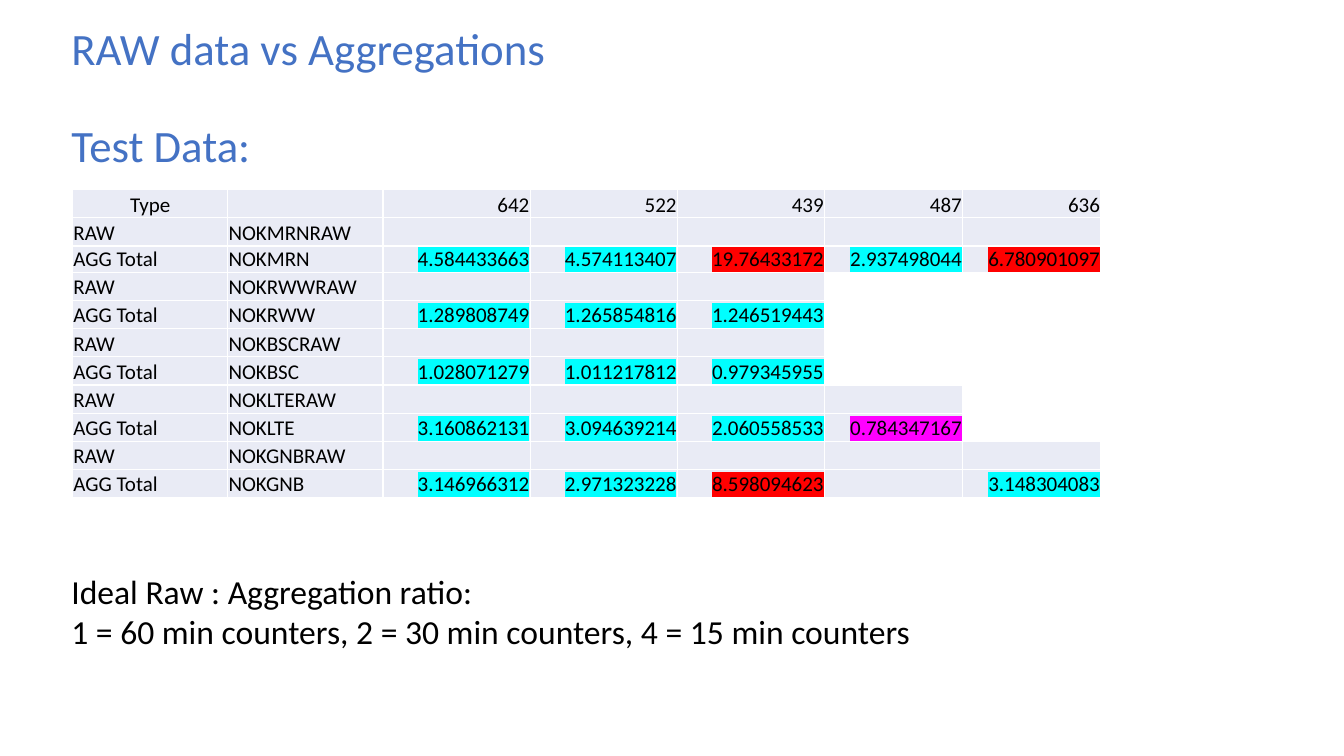
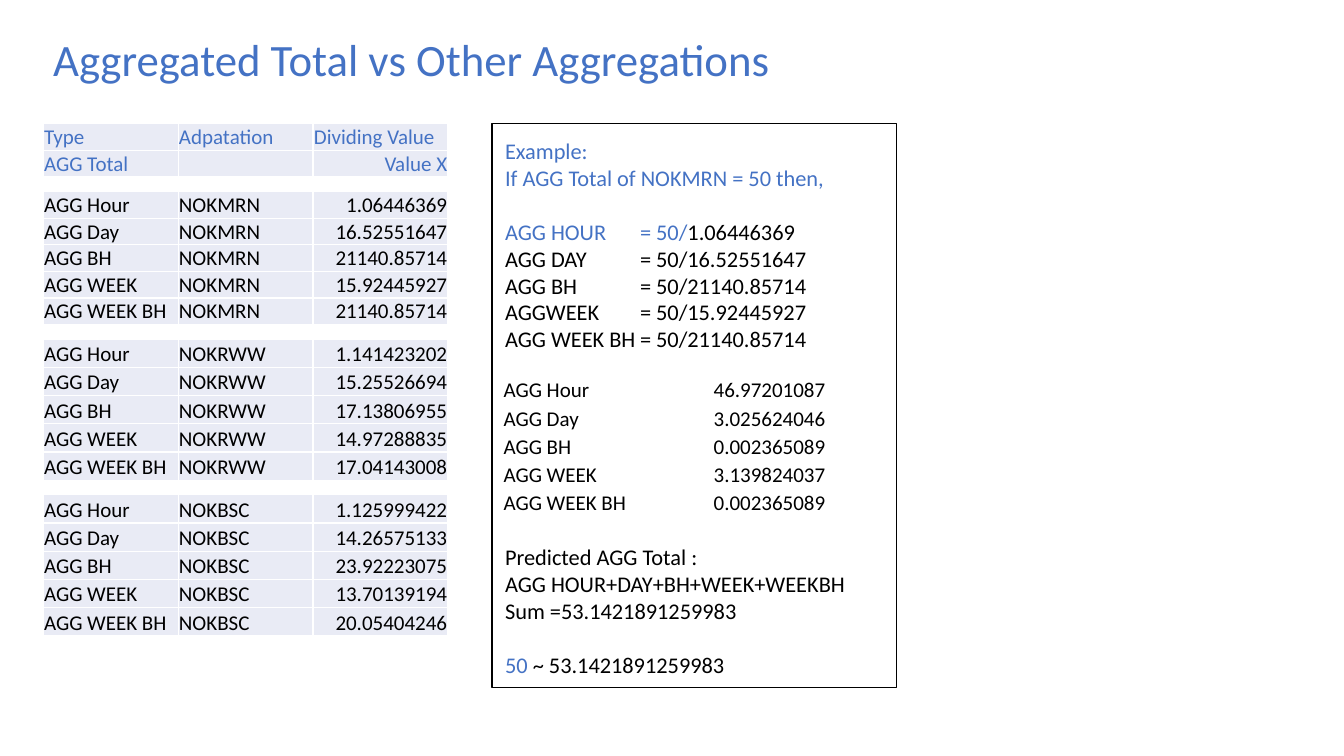
import dataclasses

import pptx
import pptx.dml.color
import pptx.enum.shapes
import pptx.enum.text
import pptx.oxml
import pptx.oxml.ns
import pptx.util

Cm = pptx.util.Cm
Pt = pptx.util.Pt
ALIGN = pptx.enum.text.PP_ALIGN
ANCHOR = pptx.enum.text.MSO_ANCHOR


@dataclasses.dataclass(frozen=True)
class Theme:
    font: str = "Calibri"
    accent: str = "4472C4"
    ink: str = "000000"
    paper: str = "FFFFFF"
    cell: str = "E9EBF5"
    normal: str = "00FFFF"
    high: str = "FF0000"
    low: str = "FF00FF"
    title_size: float = 32
    note_size: float = 24
    example_size: float = 16
    table_size: float = 15


THEME = Theme()


def rgb(value):
    return pptx.dml.color.RGBColor.from_string(value)


def drawing_element(tag, **attributes):
    """Make an empty DrawingML element with the given attributes."""
    element = pptx.oxml.parse_xml(f"<a:{tag} {pptx.oxml.ns.nsdecls('a')}/>")
    for name, value in attributes.items():
        element.set(name, str(value))
    return element


def write(paragraph, text, *, size, color=THEME.ink, align=ALIGN.LEFT, highlight=None):
    """Add one formatted run to a paragraph, or only size it if there is no text."""
    paragraph.alignment = align
    if not text:
        paragraph._p.get_or_add_endParaRPr().set("sz", str(int(size * 100)))
        return
    run = paragraph.add_run()
    run.text = text
    run.font.name = THEME.font
    run.font.size = Pt(size)
    run.font.color.rgb = rgb(color)
    if highlight:
        mark = drawing_element("highlight")
        mark.append(drawing_element("srgbClr", val=highlight))
        run._r.rPr.find(pptx.oxml.ns.qn("a:solidFill")).addnext(mark)


def set_margins(target, left, top, right, bottom):
    target.margin_left, target.margin_top = Cm(left), Cm(top)
    target.margin_right, target.margin_bottom = Cm(right), Cm(bottom)


def next_paragraph(frame):
    """Return the first paragraph while it is unused, otherwise a new one."""
    first = frame.paragraphs[0]
    return frame.add_paragraph() if first.runs else first


class Deck:
    """Holds the presentation, the theme and the slide being built."""

    def __init__(self, theme):
        self.theme = theme
        self.presentation = pptx.Presentation()
        self.presentation.slide_width = Cm(33.87)
        self.presentation.slide_height = Cm(19.05)
        self.slide = None

    def new_slide(self):
        self.slide = self.presentation.slides.add_slide(self.presentation.slide_layouts[6])

    def text_box(self, left, top, width, height, lines, *, anchor=ANCHOR.TOP,
                 line_spacing=None, gap=0, **style):
        box = self.slide.shapes.add_textbox(Cm(left), Cm(top), Cm(width), Cm(height))
        frame = box.text_frame
        frame.word_wrap = True
        frame.vertical_anchor = anchor
        for index, line in enumerate(lines):
            paragraph = next_paragraph(frame)
            if line_spacing:
                paragraph.line_spacing = line_spacing
            if index and gap:
                paragraph.space_before = Pt(gap)
            write(paragraph, line, **style)

    def title(self, left, top, *lines):
        self.text_box(left, top, 30.78, 1.14, lines, anchor=ANCHOR.MIDDLE, line_spacing=0.9,
                      gap=35, size=self.theme.title_size, color=self.theme.accent)

    def table(self, left, top, widths, heights, rows, *, filled=True,
              color=THEME.ink, styles=None):
        """Draw a table and return its bottom edge; styles maps (row, column) to format."""
        frame = self.slide.shapes.add_table(len(rows), len(widths), Cm(left), Cm(top),
                                            Cm(sum(widths)), Cm(sum(heights)))
        table = frame.table
        table.first_row = table.horz_banding = False
        for column, width in zip(table.columns, widths):
            column.width = Cm(width)
        for row, height in zip(table.rows, heights):
            row.height = Cm(height)
        for row_index, row in enumerate(rows):
            for column_index, text in enumerate(row):
                cell = table.cell(row_index, column_index)
                set_margins(cell, 0.02, 0.02, 0.02, 0)
                cell.vertical_anchor = ANCHOR.BOTTOM
                if filled:
                    cell.fill.solid()
                    cell.fill.fore_color.rgb = rgb(self.theme.cell)
                else:
                    cell.fill.background()
                style = {"size": self.theme.table_size, "color": color,
                         "align": ALIGN.RIGHT if text[:1].isdigit() else ALIGN.LEFT}
                style.update((styles or {}).get((row_index, column_index), {}))
                write(cell.text_frame.paragraphs[0], text, **style)
        return top + sum(heights)

    def panel(self, left, top, width, height, lines, *, size, line_height, tab):
        """Draw a framed text; each line is (lines skipped before it, runs)."""
        shape = self.slide.shapes.add_shape(pptx.enum.shapes.MSO_SHAPE.RECTANGLE,
                                            Cm(left), Cm(top), Cm(width), Cm(height))
        shape.shadow.inherit = False
        shape.fill.solid()
        shape.fill.fore_color.rgb = rgb(self.theme.paper)
        shape.line.color.rgb = rgb(self.theme.ink)
        shape.line.width = Pt(1)
        frame = shape.text_frame
        frame.word_wrap = True
        frame.vertical_anchor = ANCHOR.TOP
        set_margins(frame, 0.33, 0.33, 0.25, 0.18)
        for skipped, runs in lines:
            paragraph = next_paragraph(frame)
            if skipped:
                paragraph.space_before = Pt(skipped * line_height)
            for text, color in runs:
                write(paragraph, text, size=size, color=color)
            if any("\t" in text for text, _ in runs):
                tabs = drawing_element("tabLst")
                tabs.append(drawing_element("tab", pos=int(Cm(tab)), algn="l"))
                paragraph._p.get_or_add_pPr().append(tabs)


def ratio_color(text):
    """Mark ratios that lie far above or below the ideal range of 1 to 4."""
    ratio = float(text)
    if ratio > 5:
        return THEME.high
    return THEME.low if ratio < 0.9 else THEME.normal


def build_raw_slide(deck):
    deck.new_slide()
    deck.title(1.55, 1.93, "RAW data vs Aggregations", "Test Data:")

    # Stacked tables, one for each adaptation
    widths = [3.91, 3.91, 3.71, 3.71, 3.71, 3.48, 3.48]
    header = ["Type", "", "642", "522", "439", "487", "636"]
    adaptations = {
        "NOKMRN": ["4.584433663", "4.574113407", "19.76433172", "2.937498044", "6.780901097"],
        "NOKRWW": ["1.289808749", "1.265854816", "1.246519443"],
        "NOKBSC": ["1.028071279", "1.011217812", "0.979345955"],
        "NOKLTE": ["3.160862131", "3.094639214", "2.060558533", "0.784347167"],
        "NOKGNB": ["3.146966312", "2.971323228", "8.598094623", "", "3.148304083"],
    }
    top = 4.78
    for index, (name, ratios) in enumerate(adaptations.items()):
        rows = [["RAW", name + "RAW"] + [""] * len(ratios), ["AGG Total", name] + ratios]
        heights = [0.71, 0.71]
        styles = {}
        if index == 0:
            rows.insert(0, header)
            heights.append(0.66)
            styles[0, 0] = {"align": ALIGN.CENTER}
        for column, ratio in enumerate(ratios, start=2):
            if ratio:
                styles[len(rows) - 1, column] = {"highlight": ratio_color(ratio)}
        top = deck.table(1.83, top, widths[:len(ratios) + 2], heights, rows, styles=styles)

    # Reading guide
    deck.text_box(1.55, 14.25, 26.5, 4.7, [
        "Ideal Raw : Aggregation ratio:",
        "1 = 60 min counters, 2 = 30 min counters, 4 = 15 min counters",
    ], size=THEME.note_size)


def build_aggregation_slide(deck):
    deck.new_slide()
    deck.title(1.09, 0.99, "Aggregated Total vs Other Aggregations")
    levels = ["AGG Hour", "AGG Day", "AGG BH", "AGG WEEK", "AGG WEEK BH"]

    # Column heads, then a table of dividing values for each adaptation
    left, widths, gap = 1.09, [3.4] * 3, 0.37
    bottom = deck.table(left, 3.12, widths, [0.67] * 2,
                        [["Type", "Adpatation", "Dividing Value"], ["AGG Total", "", "Value X"]],
                        color=THEME.accent, styles={(1, 2): {"align": ALIGN.RIGHT}})
    dividers = [
        ("NOKMRN", 0.67, ["1.06446369", "16.52551647", "21140.85714", "15.92445927", "21140.85714"]),
        ("NOKRWW", 0.71, ["1.141423202", "15.25526694", "17.13806955", "14.97288835", "17.04143008"]),
        ("NOKBSC", 0.71, ["1.125999422", "14.26575133", "23.92223075", "13.70139194", "20.05404246"]),
    ]
    for name, row_height, values in dividers:
        rows = [[level, name, value] for level, value in zip(levels, values)]
        bottom = deck.table(left, bottom + gap, widths, [row_height] * len(rows), rows)

    # Worked example
    accent, ink = THEME.accent, THEME.ink
    deck.panel(12.4, 3.12, 10.19, 14.2, [
        (0, [("Example:", accent)]),
        (0, [("If AGG Total of NOKMRN = 50 then,", accent)]),
        (1, [("AGG HOUR\t= 50/", accent), ("1.06446369", ink)]),
        (0, [("AGG DAY\t= 50/16.52551647", ink)]),
        (0, [("AGG BH\t= 50/21140.85714", ink)]),
        (0, [("AGGWEEK\t= 50/15.92445927", ink)]),
        (0, [("AGG WEEK BH\t= 50/21140.85714", ink)]),
        (7, [("Predicted AGG Total :", ink)]),
        (0, [("AGG HOUR+DAY+BH+WEEK+WEEKBH", ink)]),
        (0, [("Sum =53.1421891259983", ink)]),
        (1, [("50", accent), (" ~ 53.1421891259983", ink)]),
    ], size=THEME.example_size, line_height=19.5, tab=3.4)

    # Results inside the example
    results = ["46.97201087", "3.025624046", "0.002365089", "3.139824037", "0.002365089"]
    deck.table(12.67, 9.5, [3.76, 4.39], [0.67] + [0.71] * 4,
               list(zip(levels, results)), filled=False)


def main():
    deck = Deck(THEME)
    build_raw_slide(deck)
    build_aggregation_slide(deck)
    deck.presentation.save("out.pptx")


if __name__ == "__main__":
    main()
